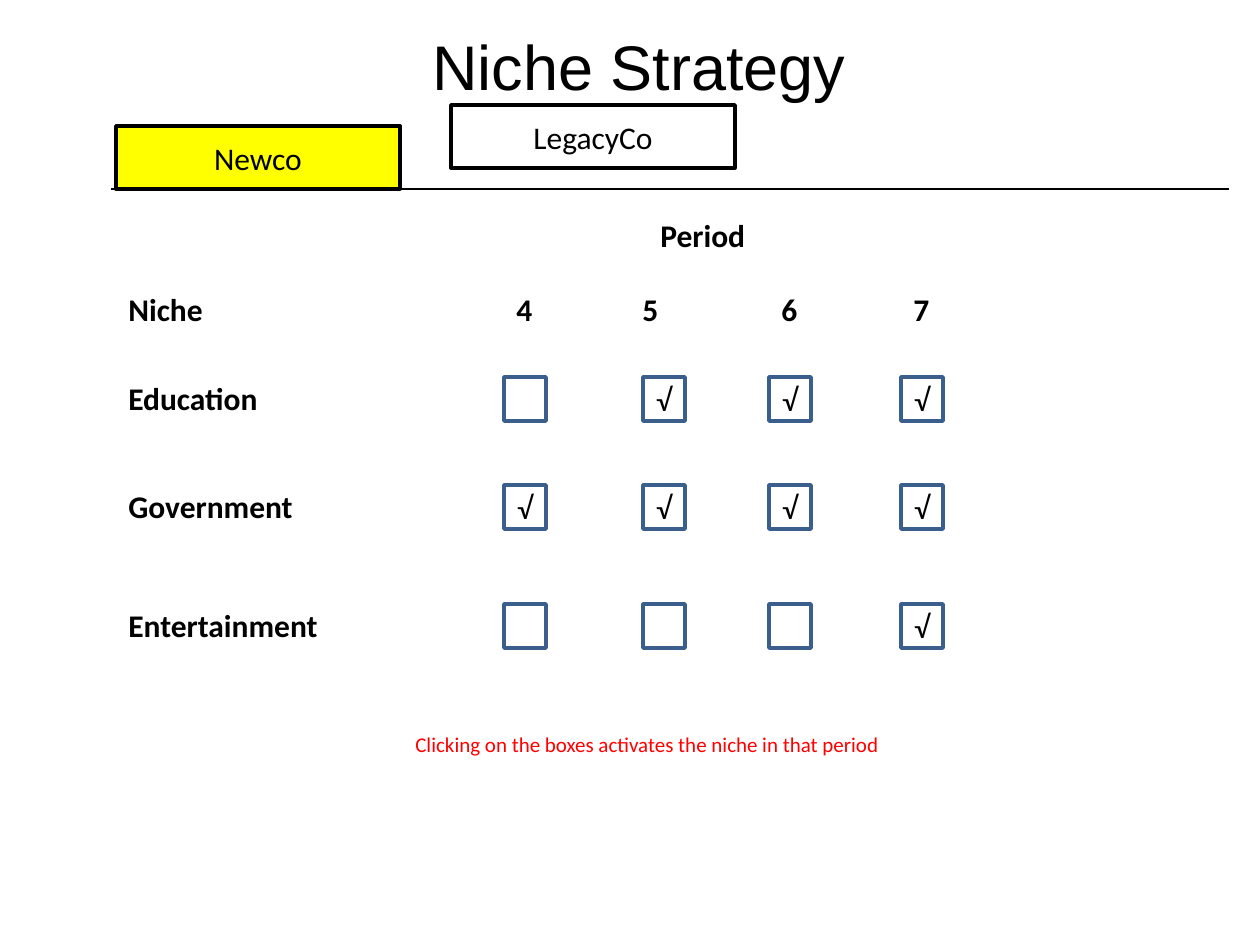
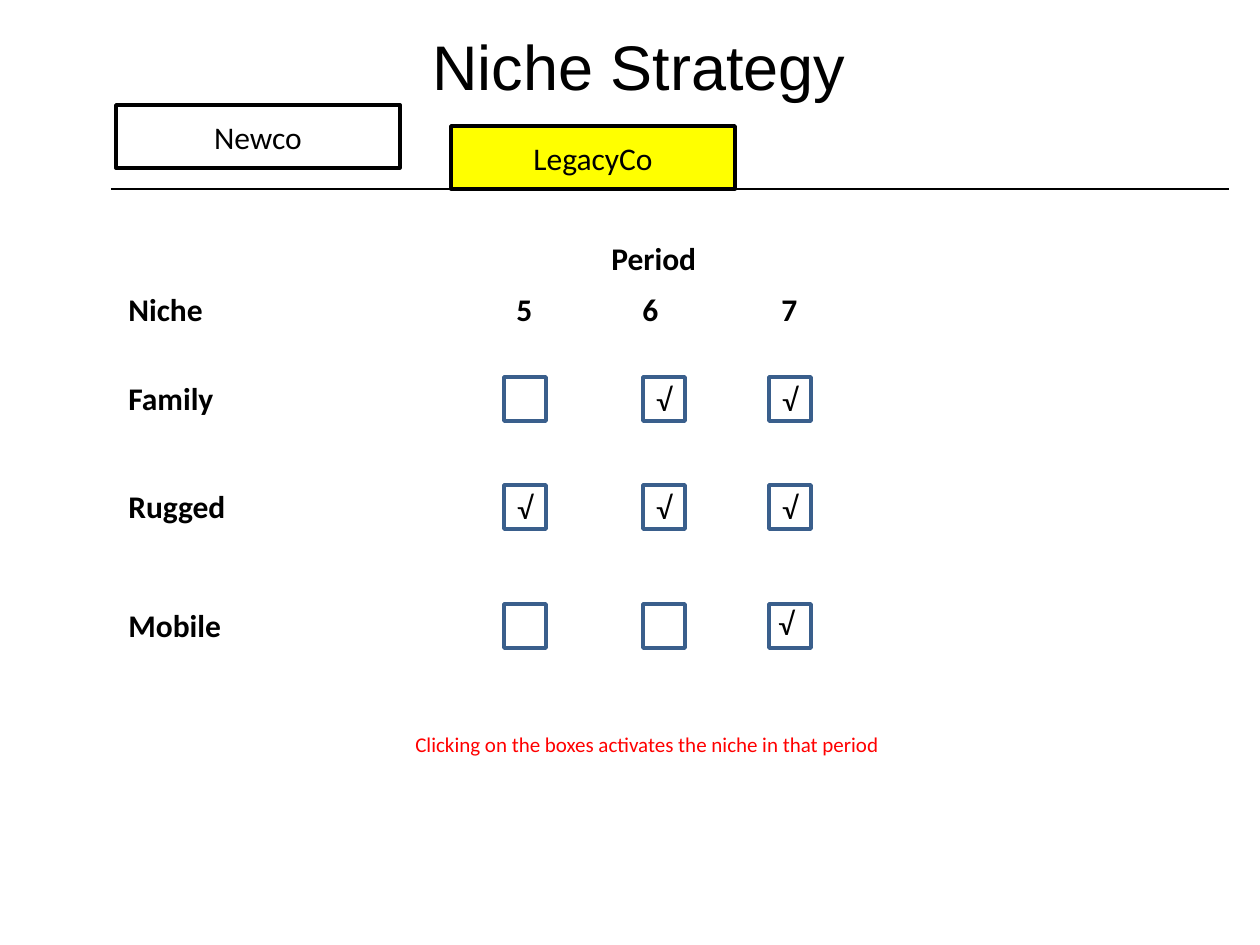
from dataclasses import dataclass

from pptx import Presentation
from pptx import util as u
from pptx.dml import color
from pptx.enum import shapes, text
from pptx.oxml import ns, xmlchemy

EMU_PER_PX = 914400 / 126


@dataclass(frozen=True)
class Theme:
    ink: str = "000000"
    paper: str = "FFFFFF"
    active: str = "FFFF00"
    box_line: str = "3A5F8C"
    note: str = "FF0000"
    title_font: str = "Arial"
    body_font: str = "Calibri"
    title_size: int = 36
    body_size: int = 18
    note_size: int = 12
    outline: float = 2
    rule: float = 1.5


THEME = Theme()
TICK = "√"

# Grid shared by both slides
LEFT = 116
HEADING_TOP = 284
LABEL_HEIGHT = 50
WRAPPED_WIDTH = 252
NUMBER_LEFTS = (504, 630, 769, 901)
BOX_LEFTS = (504, 643, 769, 901)
ROW_TOPS = (377, 485, 604)
BOX_SIZE = (42, 44)
COMPANIES = {"Newco": LEFT, "LegacyCo": 451}


def px(value):
    return u.Emu(round(value * EMU_PER_PX))


def rgb(value):
    return color.RGBColor.from_string(value)


def write(frame, words, size=THEME.body_size, ink=THEME.ink,
          font=THEME.body_font, bold=False):
    run = frame.paragraphs[0].add_run()
    run.text = words
    run.font.name = font
    run.font.size = u.Pt(size)
    run.font.bold = bold
    run.font.color.rgb = rgb(ink)


def add_label(slide, words, left, top, width, height=LABEL_HEIGHT,
              wrap=False, **style):
    label = slide.shapes.add_textbox(px(left), px(top), px(width), px(height))
    label.text_frame.word_wrap = wrap
    label.text_frame.auto_size = text.MSO_AUTO_SIZE.SHAPE_TO_FIT_TEXT
    write(label.text_frame, words, **style)


def add_box(slide, left, top, size, line, fill=None, words=""):
    box = slide.shapes.add_shape(shapes.MSO_SHAPE.RECTANGLE,
                                 px(left), px(top), *map(px, size))
    box.shadow.inherit = False
    if fill:
        box.fill.solid()
        box.fill.fore_color.rgb = rgb(fill)
    else:
        box.fill.background()
    box.line.color.rgb = rgb(line)
    box.line.width = u.Pt(THEME.outline)
    if words:
        frame = box.text_frame
        frame.vertical_anchor = text.MSO_ANCHOR.MIDDLE
        frame.paragraphs[0].alignment = text.PP_ALIGN.CENTER
        write(frame, words)


def add_rule(slide, left, right, top):
    rule = slide.shapes.add_connector(shapes.MSO_CONNECTOR.STRAIGHT,
                                      px(left), px(top), px(right), px(top))
    rule.line.color.rgb = rgb(THEME.ink)
    rule.line.width = u.Pt(THEME.rule)
    properties = rule._element.spPr
    properties.append(xmlchemy.OxmlElement("a:effectLst"))


def add_header(slide, active_company):
    # The active tab is yellow and rests on the rule
    for company, left in COMPANIES.items():
        active = company == active_company
        add_box(slide, left, 126 if active else 105, (284, 63), THEME.ink,
                THEME.active if active else THEME.paper, company)
    add_rule(slide, 111, 1229, 189)
    add_label(slide, "Niche Strategy", 420, 21, 442, 89,
              size=THEME.title_size, font=THEME.title_font)


def add_niche_grid(slide, periods, niches, period_at):
    # Column headings
    add_label(slide, "Period", *period_at, 111, bold=True)
    add_label(slide, "Niche", LEFT, HEADING_TOP, 100, bold=True)
    for period, left in zip(periods, NUMBER_LEFTS):
        add_label(slide, period, left, HEADING_TOP, 42, bold=True)

    # One row of boxes per niche
    for (niche, width, ticked), top in zip(niches, ROW_TOPS):
        add_label(slide, niche, LEFT, top - 4, width,
                  wrap=width == WRAPPED_WIDTH, bold=True)
        for period, left in zip(periods, BOX_LEFTS):
            add_box(slide, left, top, BOX_SIZE, THEME.box_line,
                    words=TICK if period in ticked else "")


def add_note(slide):
    add_label(slide, "Clicking on the boxes activates the niche in that period",
              403, 725, 494, 38, size=THEME.note_size, ink=THEME.note)


def add_strategy_slide(deck, company, periods, niches, period_at):
    slide = deck.slides.add_slide(deck.slide_layouts[6])
    add_header(slide, company)
    add_niche_grid(slide, periods, niches, period_at)
    add_note(slide)
    return slide


def main():
    deck = Presentation()
    deck.slide_width, deck.slide_height = px(1260), px(945)

    # Each niche: name, label width, ticked periods
    add_strategy_slide(deck, "Newco", "4567", [
        ("Education", 161, "567"),
        ("Government", WRAPPED_WIDTH, "4567"),
        ("Entertainment", 217, "7"),
    ], period_at=(648, 210))

    legacy = add_strategy_slide(deck, "LegacyCo", "567", [
        ("Family", 111, "67"),
        ("Rugged", WRAPPED_WIDTH, "567"),
        ("Mobile", 118, ""),
    ], period_at=(599, 233))
    # The Mobile tick lies loose over its box
    add_label(legacy, TICK, 766, 598, 42)

    deck.save("out.pptx")


if __name__ == "__main__":
    main()
